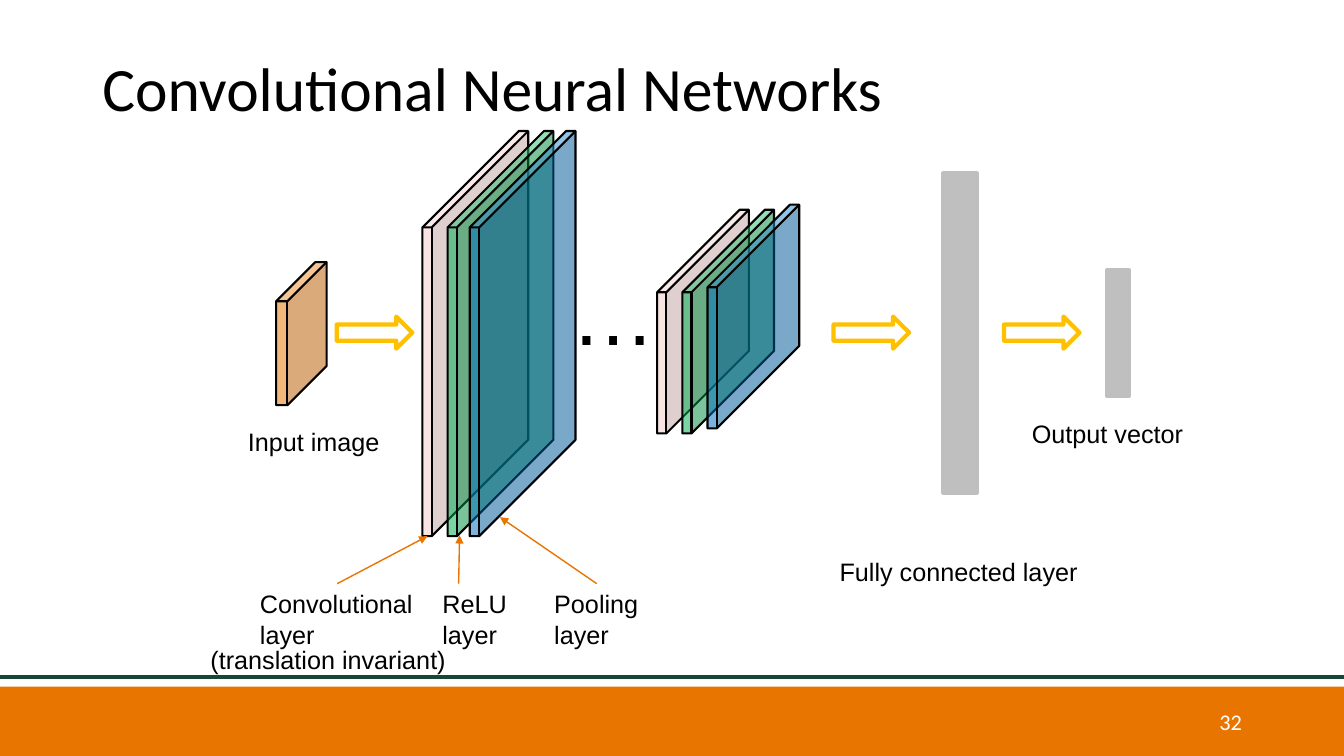
from lxml import etree
from pptx import Presentation
from pptx.dml.color import RGBColor
from pptx.enum import shapes, text
from pptx.oxml import ns
from pptx.util import Pt

COLORS = {
    "orange": "E87500", "forest": "154734", "pink": "F4CCCC", "green": "00B050",
    "blue": "0070C0", "amber": "FFC000", "gray": "BFBFBF", "black": "000000", "white": "FFFFFF",
}
SHAPE = shapes.MSO_SHAPE


def add_shape(kind, place, fill=None, line=None, width=0):
    shape = page.shapes.add_shape(kind, *map(Pt, place))
    shape.shadow.inherit = False
    for part, color in ((shape.fill, fill), (shape.line.fill, line)):
        if color:
            part.solid()
            part.fore_color.rgb = RGBColor.from_string(COLORS[color])
        else:
            part.background()
    if line:
        shape.line.width = Pt(width)
    return shape


def add_line(start, end, color, width):
    line = page.shapes.add_connector(shapes.MSO_CONNECTOR.STRAIGHT, *map(Pt, start + end))
    line.line.color.rgb = RGBColor.from_string(COLORS[color])
    line.line.width = Pt(width)
    etree.SubElement(line._element.spPr, ns.qn("a:effectLst"))
    return line


deck = Presentation()
deck.slide_width, deck.slide_height = Pt(960), Pt(540)
page = deck.slides.add_slide(deck.slide_layouts[6])

# Footer band and rule
add_shape(SHAPE.RECTANGLE, (0, 490.5, 960, 49.5), "orange")
add_line((0, 483.4), (960, 483.4), "forest", 3)

# Layers as see-through cubes: place, depth, fill
cubes = [((197.3, 187.2, 36, 102.2), 0.777, "orange")]
for lefts, tops, size, depth in (
    ((301.7, 319.7, 335.5), (93.6, 93.6, 93.6), (75.6, 289.4), 0.911),
    ((469.4, 487.4, 505.4), (149.8, 149.8, 146.2), (65.5, 159.8), 0.9),
):
    for left, top, color in zip(lefts, tops, ("pink", "green", "blue")):
        cubes.append(((left, top, *size), depth, color))
for place, depth, color in cubes:
    cube = add_shape(SHAPE.CUBE, place, color, "black", 1.5)
    cube.adjustments[0] = depth
    tint = cube._element.spPr.find(ns.qn("a:solidFill"))[0]
    etree.SubElement(tint, ns.qn("a:alpha"), val="52000")

# Flow arrows
for left in (240.5, 595.4, 717.1):
    add_shape(SHAPE.RIGHT_ARROW, (left, 226.1, 54, 23), None, "amber", 3)

# Fully connected layer and output vector
for place in ((673.9, 123.8, 23.8, 228.2), (790.6, 193, 15.8, 90)):
    add_shape(SHAPE.RECTANGLE, place, "gray", "gray", 3)

# Texts: lines, place, format values
label = {"size": Pt(18), "name": "Arial"}
title = {"size": Pt(44), "name": "Calibri"}
number = {"size": Pt(16), "name": "Calibri"}
dots = {"size": Pt(60), "name": "Arial"}
texts = [
    (["Convolutional Neural Networks"], (66, 19.4, 828, 91.4), title),
    (["32"], (848.2, 505.4, 46, 19.4), number),
    (["Input image"], (169.9, 301, 109.4, 28.8), label),
    (["Fully connected layer"], (592.6, 393.8, 186.5, 28.8), label),
    (["Output vector"], (730, 295.2, 123.8, 28.8), label),
    (["Convolutional", "layer"], (178.6, 416.9, 124.6, 51.1), label),
    (["ReLU", "layer"], (308.9, 416.9, 61.2, 51.1), label),
    (["Pooling", "layer"], (388.8, 416.9, 74.9, 51.1), label),
    (["…"], (401, 182.9, 74.9, 79.9), dots),
    (["(translation invariant)"], (143.3, 456.5, 184.3, 28.8), label),
]
boxes = {}
for lines, place, values in texts:
    box = page.shapes.add_textbox(*map(Pt, place))
    boxes[lines[0]] = box
    frame = box.text_frame
    frame.word_wrap = values is title or lines[0] == "Convolutional"
    if values in (title, number):
        frame.vertical_anchor = text.MSO_ANCHOR.MIDDLE
    for index, line in enumerate(lines):
        para = frame.paragraphs[0] if index == 0 else frame.add_paragraph()
        if values is title:
            para.line_spacing = 0.9
        if values is number:
            para.alignment = text.PP_ALIGN.RIGHT
        span = para.add_run()
        span.text = line
        for key, value in values.items():
            setattr(span.font, key, value)
        span.font.color.rgb = RGBColor.from_string(COLORS["white" if values is number else "black"])

# Pointers from the labels to the first layers
for start, end, name in (
    ((240.9, 416.9), (305.3, 383), "Convolutional"),
    ((327.6, 416.9), (328.3, 382.3), None),
    ((426.2, 416.9), (357.1, 369.4), "Pooling"),
):
    pointer = add_line(start, end, "orange", 1)
    if name:
        pointer.begin_connect(boxes[name], 0)
    etree.SubElement(pointer.line._get_or_add_ln(), ns.qn("a:tailEnd"), type="triangle")

deck.save("out.pptx")
